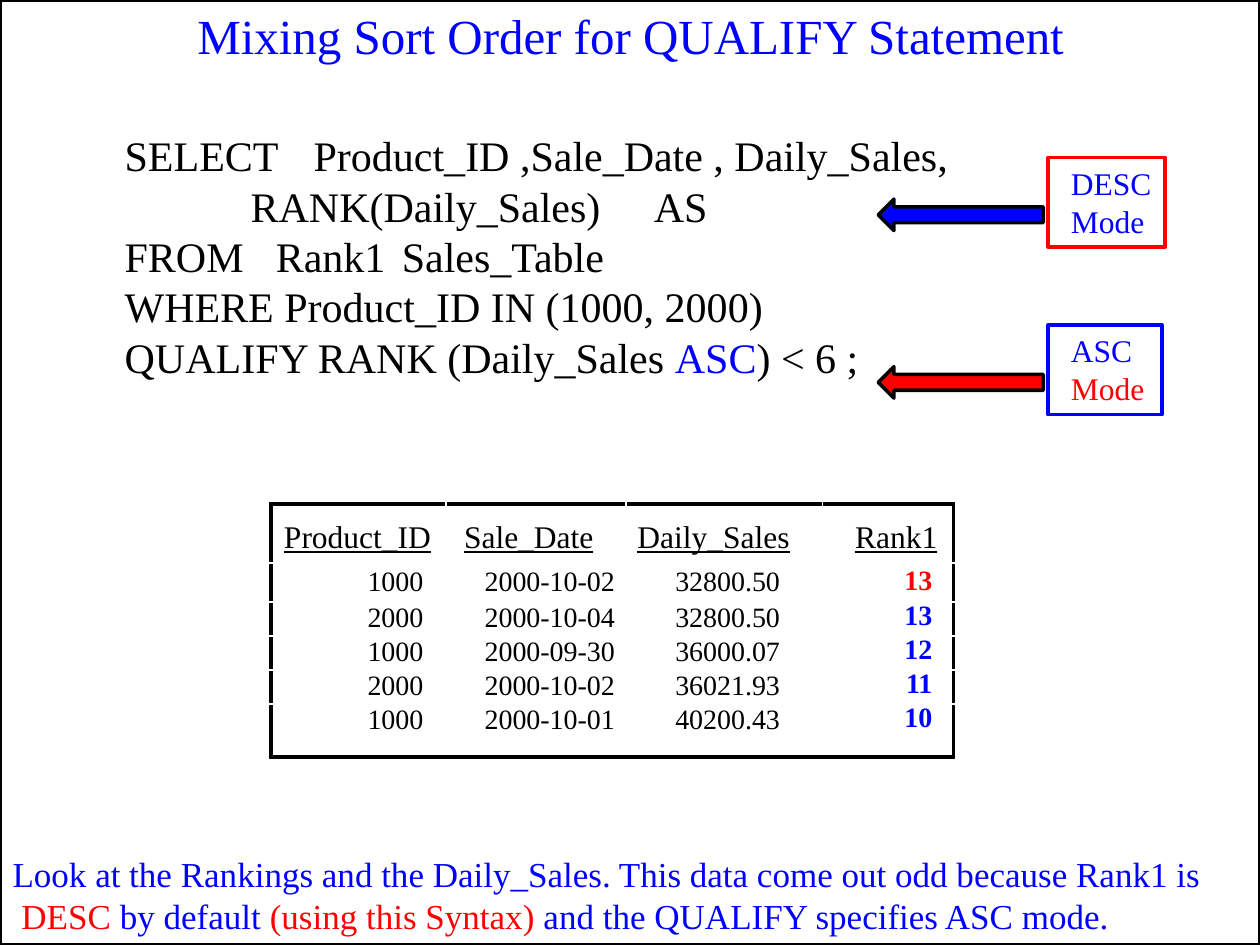
from pptx import Presentation
from pptx import util as u
from pptx.dml.color import RGBColor
from pptx.enum import shapes, text
from pptx.oxml import parse_xml
from pptx.oxml import ns

BLACK = RGBColor(0, 0, 0)
BLUE = RGBColor(0, 0, 255)
RED = RGBColor(255, 0, 0)
FACE = "Times New Roman"
SHAPE = shapes.MSO_SHAPE

HEADS = ["Product_ID", "Sale_Date", "Daily_Sales", "Rank1"]
ROWS = [
    ["1000", "2000-10-02", "32800.50", "13"],
    ["2000", "2000-10-04", "32800.50", "13"],
    ["1000", "2000-09-30", "36000.07", "12"],
    ["2000", "2000-10-02", "36021.93", "11"],
    ["1000", "2000-10-01", "40200.43", "10"],
]
WIDTHS = [1.39, 1.43, 1.56, 1.04]
HEIGHTS = [0.47, 0.31, 0.27, 0.27, 0.27, 0.42]
HEADPADS = [0.12, 0.26, 0.09, 0.13]
PADS = [0.18, 0.09, 0.39, 0.17]


def style(para, size, color):
    font = para.font
    font.name, font.size = FACE, u.Pt(size)
    font.color.rgb = color


def fill_frame(frame, lines, size, color, left=0.01, top=0.01):
    frame.word_wrap = True
    frame.auto_size = text.MSO_AUTO_SIZE.NONE
    frame.vertical_anchor = text.MSO_ANCHOR.TOP
    frame.margin_left, frame.margin_top = u.Inches(left), u.Inches(top)
    frame.margin_right = frame.margin_bottom = 0
    for i, line in enumerate(lines):
        para = frame.add_paragraph() if i else frame.paragraphs[0]
        para.alignment = text.PP_ALIGN.LEFT
        style(para, size, color)
        for words, tint in line:
            run = para.add_run()
            run.text = words
            if tint != color:
                run.font.color.rgb = tint


def add_text(slide, box, lines, size, color):
    frame = slide.shapes.add_textbox(*map(u.Inches, box)).text_frame
    fill_frame(frame, lines, size, color)
    return frame.paragraphs


def indent(para, left, first=0, stops=()):
    props = para._p.get_or_add_pPr()
    props.set("marL", str(u.Inches(left)))
    props.set("indent", str(u.Inches(first)))
    if stops:
        tabs = "".join(f'<a:tab pos="{u.Inches(s)}" algn="l"/>' for s in stops)
        props.insert_element_before(
            parse_xml(f"<a:tabLst {ns.nsdecls('a')}>{tabs}</a:tabLst>"),
            "a:defRPr", "a:extLst")


def add_shape(slide, kind, box, line, width, fill=None):
    shape = slide.shapes.add_shape(kind, *map(u.Inches, box))
    shape.shadow.inherit = False
    shape.line.color.rgb = line
    shape.line.width = u.Pt(width)
    if fill is None:
        shape.fill.background()
    else:
        shape.fill.solid()
        shape.fill.fore_color.rgb = fill
    return shape


def add_title(slide, box):
    title = slide.shapes.title
    title.left, title.top, title.width, title.height = map(u.Inches, box)
    words = "Mixing Sort Order for QUALIFY Statement"
    fill_frame(title.text_frame, [[(words, BLUE)]], 28, BLUE)
    title.text_frame.paragraphs[0].alignment = text.PP_ALIGN.CENTER


def add_query(slide, x, y):
    def put(dx, row, width, lines):
        box = x + dx, y + 0.4 * row, width, 0.43 + 0.4 * (len(lines) - 1)
        return add_text(slide, box, lines, 24, BLACK)[0]

    words = "SELECT\tProduct_ID ,Sale_Date , Daily_Sales,"
    indent(put(0, 0, 7.2, [[(words, BLACK)]]), 0, 0, [2.01])
    put(0, 2, 0.97, [[("FROM", BLACK)]])
    words = "RANK(Daily_Sales)\tAS Rank1\tSales_Table"
    indent(put(1, 1, 4.33, [[(words, BLACK)]]), 0.2, -0.2, [1.04, 2.94])
    put(0, 3, 6, [
        [("WHERE Product_ID IN (1000, 2000)", BLACK)],
        [("QUALIFY RANK (Daily_Sales ", BLACK), ("ASC", BLUE),
         (") < 6 ;", BLACK)],
    ])


def add_mode(slide, x, y, width, word, tint, edge, fill):
    add_shape(slide, SHAPE.LEFT_ARROW, (x, y + 0.33, 1.31, 0.25),
              BLACK, 2, fill)
    card = add_shape(slide, SHAPE.RECTANGLE, (x + 1.35, y, width, 0.71),
                     edge, 2.25)
    fill_frame(card.text_frame, [[(word, BLUE)], [("Mode", tint)]],
               18, BLUE, 0.18, 0.05)


def add_edges(cell, sides):
    props = cell._tc.get_or_add_tcPr()
    for side in sides:
        props.append(parse_xml(
            f'<a:ln{side} {ns.nsdecls("a")} w="{u.Pt(2.25)}"><a:solidFill>'
            f'<a:srgbClr val="{BLACK}"/></a:solidFill></a:ln{side}>'))


def fill_cell(cell, row, col, words):
    pad = u.Inches((PADS if row else HEADPADS)[col])
    left = col == 2
    cell.margin_left, cell.margin_right = (pad, 0) if left else (0, pad)
    cell.margin_top = u.Inches({0: 0.13, 1: 0.03}.get(row, 0))
    cell.margin_bottom = 0
    cell.text = words
    para = cell.text_frame.paragraphs[0]
    para.alignment = text.PP_ALIGN.LEFT if left else text.PP_ALIGN.RIGHT
    rank = row > 0 and col == 3
    color = (RED if row == 1 else BLUE) if rank else BLACK
    style(para, 16 if row else 18, color)
    para.font.bold = rank
    para.font.underline = row == 0
    if rank:
        para.line_spacing = u.Pt(17)
    sides = [("L", col == 0), ("R", col == len(HEADS) - 1),
             ("T", row == 0), ("B", row == len(ROWS))]
    add_edges(cell, [side for side, edge in sides if edge])
    cell.fill.background()


def add_result(slide, x, y):
    box = x, y, sum(WIDTHS), sum(HEIGHTS)
    table = slide.shapes.add_table(len(HEIGHTS), len(WIDTHS),
                                   *map(u.Inches, box)).table
    table.first_row = table.horz_banding = False
    for column, width in zip(table.columns, WIDTHS):
        column.width = u.Inches(width)
    for row, height in zip(table.rows, HEIGHTS):
        row.height = u.Inches(height)
    for r, line in enumerate([HEADS] + ROWS):
        for c, words in enumerate(line):
            fill_cell(table.cell(r, c), r, c, words)


def add_note(slide, box):
    first = ("Look at the Rankings and the Daily_Sales. "
             "This data come out odd because Rank1 is")
    paras = add_text(slide, box, [
        [(first, BLUE)],
        [("DESC ", RED), ("by default ", BLUE), ("(using this Syntax) ", RED),
         ("and the QUALIFY specifies ASC mode.", BLUE)],
    ], 20, BLUE)
    indent(paras[1], 0.07)


def main():
    deck = Presentation()
    deck.slide_width, deck.slide_height = u.Inches(10), u.Inches(7.5)
    slide = deck.slides.add_slide(deck.slide_layouts[5])
    add_shape(slide, SHAPE.RECTANGLE, (0, 0, 10, 7.5), BLACK, 2)
    add_title(slide, (1.5, 0.03, 7, 0.49))
    add_query(slide, 0.98, 1.02)
    add_mode(slide, 6.97, 1.25, 0.93, "DESC", BLUE, RED, BLUE)
    add_mode(slide, 6.97, 2.58, 0.9, "ASC", RED, BLUE, RED)
    add_result(slide, 2.15, 4)
    add_note(slide, (0.09, 6.76, 9.7, 0.7))
    deck.save("out.pptx")


if __name__ == "__main__":
    main()
